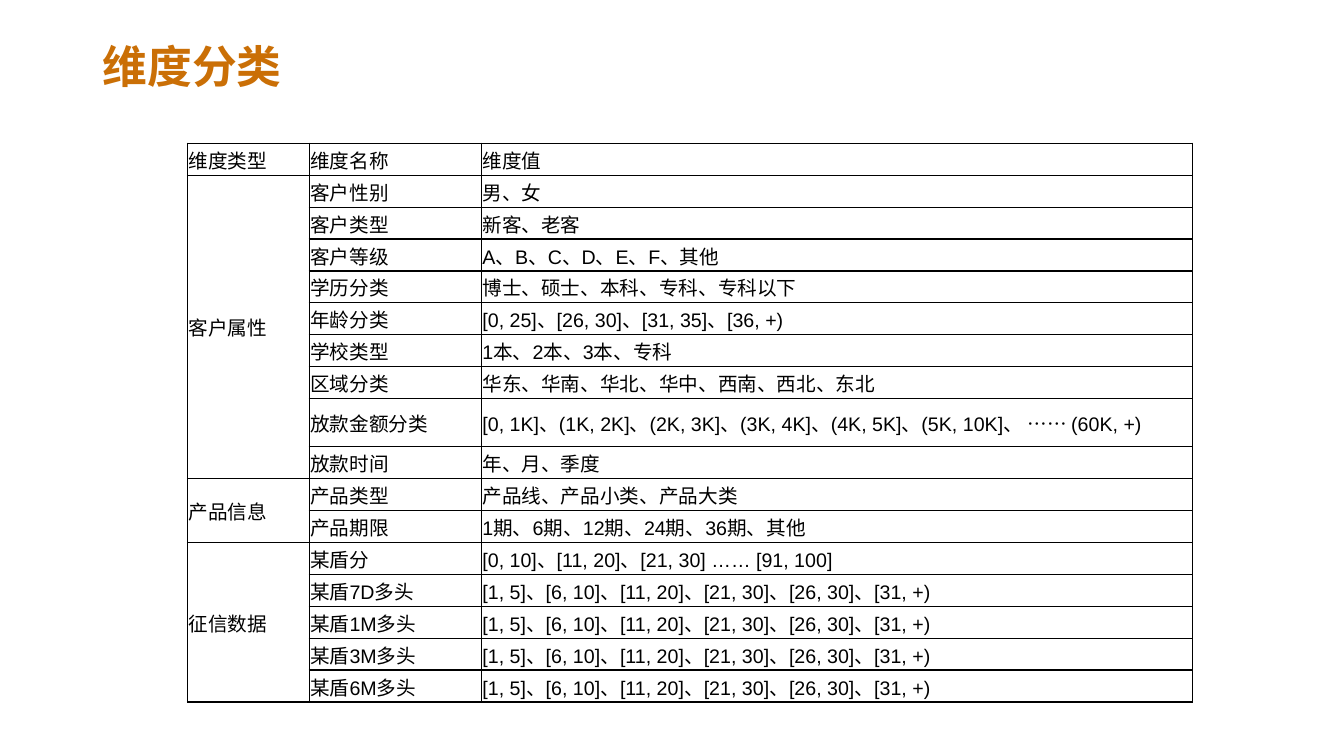
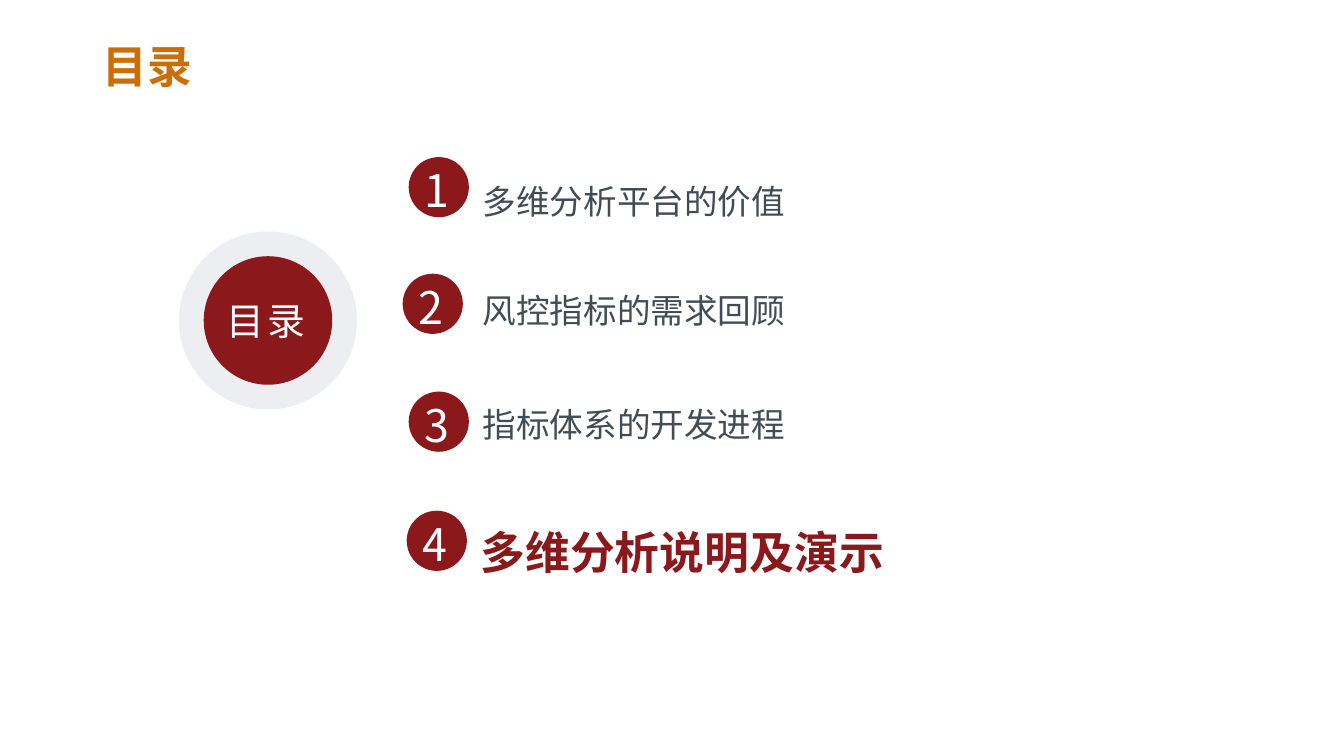
import pptx
import pptx.util
import pptx.dml.color
import pptx.enum.shapes
import pptx.enum.text
import pptx.oxml
import pptx.oxml.ns

Pt = pptx.util.Pt
Anchor = pptx.enum.text.MSO_ANCHOR
Preset = pptx.enum.shapes.MSO_SHAPE

# Shared look
SLIDE_SIZE = (960, 540)
ORANGE = "CA6F06"
CRIMSON = "8B181B"
RING_GREY = "D6DBE0"
SLATE = "414C55"
WHITE = "FFFFFF"
BLACK = "000000"
TITLE_FONT = "Montserrat"
BODY_FONT = "Noto Sans CJK SC"
TABLE_FONT = "Arial"

# Dimension table: type, then (name, values)
HEADINGS = ("维度类型", "维度名称", "维度值")
LOAN_COUNT_RANGES = "[1, 5]、[6, 10]、[11, 20]、[21, 30]、[26, 30]、[31, +)"
DIMENSIONS = [
    ("客户属性", [
        ("客户性别", "男、女"),
        ("客户类型", "新客、老客"),
        ("客户等级", "A、B、C、D、E、F、其他"),
        ("学历分类", "博士、硕士、本科、专科、专科以下"),
        ("年龄分类", "[0, 25]、[26, 30]、[31, 35]、[36, +)"),
        ("学校类型", "1本、2本、3本、专科"),
        ("区域分类", "华东、华南、华北、华中、西南、西北、东北"),
        ("放款金额分类", "[0, 1K]、(1K, 2K]、(2K, 3K]、(3K, 4K]、(4K, 5K]、"
                   "(5K, 10K]、 …… (60K, +)"),
        ("放款时间", "年、月、季度"),
    ]),
    ("产品信息", [
        ("产品类型", "产品线、产品小类、产品大类"),
        ("产品期限", "1期、6期、12期、24期、36期、其他"),
    ]),
    ("征信数据", [("某盾分", "[0, 10]、[11, 20]、[21, 30] …… [91, 100]")]
     + [(f"某盾{period}多头", LOAN_COUNT_RANGES)
        for period in ("7D", "1M", "3M", "6M")]),
]
COLUMN_WIDTHS = (87, 123, 508)
ROW_HEIGHT = 22.8

# Agenda: topic, its box, badge corner
AGENDA = [
    ("多维分析平台的价值", (337.7, 111.5, 351, 46), (291.9, 112.2)),
    ("风控指标的需求回顾", (337.7, 189.2, 292, 51), (287.6, 195.5)),
    ("指标体系的开发进程", (337.7, 270.6, 292, 51), (291.9, 279.7)),
    ("多维分析说明及演示", (336.2, 352, 410, 65.5), (290.5, 364.8)),
]
CURRENT_TOPIC = 4
BADGE_SIZE = 43


def color(hex_code):
    return pptx.dml.color.RGBColor.from_string(hex_code)


def write(frame, text, size=14, font=BODY_FONT, fill=BLACK, bold=False,
          tracking=0, line_spacing=None, space_before=None):
    """Put one formatted paragraph into a text frame."""
    paragraph = frame.paragraphs[0]
    paragraph.line_spacing = line_spacing
    if space_before is not None:
        paragraph.space_before = Pt(space_before)
    run = paragraph.add_run()
    run.text = text
    run.font.size = Pt(size)
    run.font.name = font
    run.font.bold = bold
    run.font.color.rgb = color(fill)
    properties = run.font._element
    if tracking:
        properties.set("spc", str(round(tracking * 100)))
    east_asian = pptx.oxml.parse_xml(
        f'<a:ea {pptx.oxml.ns.nsdecls("a")} typeface="{BODY_FONT}"/>')
    properties.find(pptx.oxml.ns.qn("a:latin")).addnext(east_asian)


def add_text(slide, box, text, wrap=True, anchor=Anchor.TOP, **style):
    frame = slide.shapes.add_textbox(*map(Pt, box)).text_frame
    frame.word_wrap = wrap
    frame.vertical_anchor = anchor
    write(frame, text, **style)


def add_panel(slide, preset, box, fill, opacity=100):
    panel = slide.shapes.add_shape(preset, *map(Pt, box))
    panel.shadow.inherit = False
    panel.line.fill.background()
    panel.fill.solid()
    panel.fill.fore_color.rgb = color(fill)
    if opacity < 100:
        tint = panel._element.spPr.find(".//" + pptx.oxml.ns.qn("a:srgbClr"))
        tint.append(pptx.oxml.parse_xml(
            f'<a:alpha {pptx.oxml.ns.nsdecls("a")} val="{opacity * 1000}"/>'))


def add_disc(slide, left, top, diameter, fill, opacity=100):
    add_panel(slide, Preset.OVAL, (left, top, diameter, diameter), fill,
              opacity)


def add_titled_slide(deck, title):
    """Start a slide with the white veil and title that all slides share."""
    slide = deck.slides.add_slide(deck.slide_layouts[6])
    add_panel(slide, Preset.RECTANGLE, (0, 0, *SLIDE_SIZE), WHITE, opacity=87)
    add_text(slide, (66.2, 30.2, 828, 38.2), title, anchor=Anchor.MIDDLE,
             size=32, font=TITLE_FONT, fill=ORANGE, bold=True,
             line_spacing=0.9)
    return slide


def add_badge(slide, number, left, top):
    add_disc(slide, left, top, BADGE_SIZE, CRIMSON)
    add_text(slide, (left + 4, top + 0.8, 36, 46), str(number), wrap=False,
             size=32, fill=WHITE, tracking=2.2)


def outline_cell(cell):
    properties = cell._tc.get_or_add_tcPr()
    for position, side in enumerate(("lnL", "lnR", "lnT", "lnB")):
        properties.insert(position, pptx.oxml.parse_xml(
            f'<a:{side} {pptx.oxml.ns.nsdecls("a")} w="{Pt(1)}"><a:solidFill>'
            f'<a:srgbClr val="{BLACK}"/></a:solidFill></a:{side}>'))


def fill_cell(cell, text):
    cell.fill.background()
    outline_cell(cell)
    cell.vertical_anchor = Anchor.MIDDLE
    cell.margin_left = cell.margin_right = cell.margin_top = Pt(0.7)
    cell.margin_bottom = 0
    write(cell.text_frame, text, font=TABLE_FONT)


def add_dimension_table(slide, left, top):
    rows = [HEADINGS]
    groups = []
    for kind, members in DIMENSIONS:
        groups.append((len(rows), len(rows) + len(members) - 1))
        for index, (name, values) in enumerate(members):
            rows.append(("" if index else kind, name, values))

    table = slide.shapes.add_table(
        len(rows), len(COLUMN_WIDTHS), Pt(left), Pt(top),
        Pt(sum(COLUMN_WIDTHS)), Pt(ROW_HEIGHT * len(rows))).table
    table.first_row = table.horz_banding = False
    for column, width in zip(table.columns, COLUMN_WIDTHS):
        column.width = Pt(width)
    for row_index, texts in enumerate(rows):
        table.rows[row_index].height = Pt(ROW_HEIGHT)
        for column_index, text in enumerate(texts):
            fill_cell(table.cell(row_index, column_index), text)
    for first, last in groups:
        table.cell(first, 0).merge(table.cell(last, 0))


def add_agenda(slide):
    # Emblem
    add_disc(slide, 127.8, 165.3, 127.2, RING_GREY, opacity=45)
    add_disc(slide, 145.5, 183, 91.8, CRIMSON)
    add_text(slide, (154.8, 208.8, 73.4, 40.3), "目录", wrap=False,
             size=27, fill=WHITE, tracking=2.2)
    # Topics
    for number, (topic, box, corner) in enumerate(AGENDA, 1):
        current = number == CURRENT_TOPIC
        add_badge(slide, number, *corner)
        add_text(slide, box, topic, size=32 if current else 24, bold=current,
                 fill=CRIMSON if current else SLATE,
                 line_spacing=1.5, space_before=7.5)


def main():
    deck = pptx.Presentation()
    deck.slide_width, deck.slide_height = map(Pt, SLIDE_SIZE)

    # Dimension categories
    dimensions = add_titled_slide(deck, "维度分类")
    add_dimension_table(dimensions, 133.9, 102.4)

    # Contents
    contents = add_titled_slide(deck, "目录")
    add_agenda(contents)

    deck.save("out.pptx")


if __name__ == "__main__":
    main()
